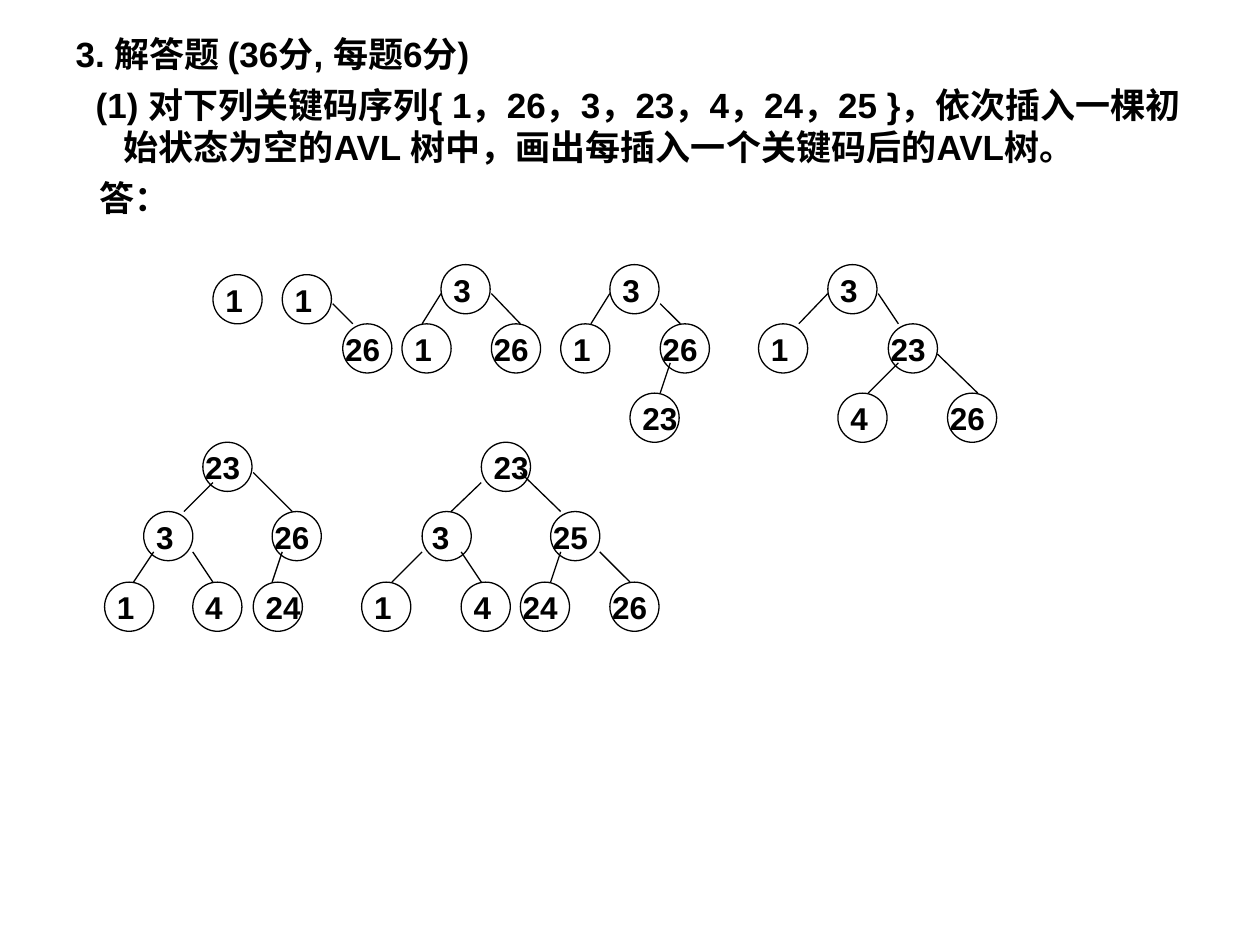
from dataclasses import dataclass, field
from typing import NamedTuple

from lxml import etree
from pptx import Presentation
from pptx import util as u
from pptx.dml.color import RGBColor
from pptx.enum import lang, shapes, text
from pptx.oxml import ns

BLACK = RGBColor(0, 0, 0)
WHITE = RGBColor(255, 255, 255)
FONT = "Arial"
SIZE = 0.39
THIN = u.Pt(0.75)
PAIR = -0.08


class Node(NamedTuple):
    key: str
    x: float
    y: float
    shift: float = 0


class Edge(NamedTuple):
    x1: float
    y1: float
    x2: float
    y2: float


class Line(NamedTuple):
    words: str
    indent: float


@dataclass
class Tree:
    nodes: list[Node]
    edges: list[Edge] = field(default_factory=list)


LINES = [
    Line("3. 解答题 (36分, 每题6分)", -0.38),
    Line("(1) 对下列关键码序列{ 1，26，3，23，4，24，25 }，依次插入一棵初始状态为空的"
         "AVL 树中，画出每插入一个关键码后的AVL树。", -0.22),
    Line("答：", -0.19),
]

TREES = [
    Tree([Node("1", 1.69, 2.18)]),
    Tree(
        [Node("1", 2.24, 2.18), Node("26", 2.72, 2.57, PAIR)],
        [Edge(2.64, 2.41, 2.8, 2.57)],
    ),
    Tree(
        [Node("3", 3.5, 2.1), Node("1", 3.19, 2.57), Node("26", 3.9, 2.57, PAIR)],
        [Edge(3.5, 2.33, 3.35, 2.57), Edge(3.9, 2.33, 4.13, 2.57)],
    ),
    Tree(
        [Node("3", 4.84, 2.1), Node("1", 4.45, 2.57),
         Node("26", 5.24, 2.57, PAIR), Node("23", 5, 3.12)],
        [Edge(4.84, 2.33, 4.69, 2.57), Edge(5.24, 2.41, 5.4, 2.57),
         Edge(5.32, 2.88, 5.24, 3.12)],
    ),
    Tree(
        [Node("3", 6.57, 2.1), Node("1", 6.02, 2.57), Node("23", 7.05, 2.57, PAIR),
         Node("4", 6.65, 3.12), Node("26", 7.52, 3.12, PAIR)],
        [Edge(6.57, 2.33, 6.34, 2.57), Edge(6.97, 2.33, 7.13, 2.57),
         Edge(7.13, 2.88, 6.89, 3.12), Edge(7.44, 2.81, 7.76, 3.12)],
    ),
    Tree(
        [Node("23", 1.61, 3.51, PAIR), Node("3", 1.14, 4.06),
         Node("26", 2.16, 4.06, PAIR), Node("1", 0.83, 4.62),
         Node("4", 1.53, 4.62), Node("24", 2.01, 4.62)],
        [Edge(1.69, 3.83, 1.46, 4.06), Edge(2.01, 3.75, 2.32, 4.06),
         Edge(1.22, 4.38, 1.06, 4.62), Edge(1.53, 4.38, 1.69, 4.62),
         Edge(2.24, 4.38, 2.16, 4.62)],
    ),
    Tree(
        [Node("23", 3.82, 3.51), Node("3", 3.35, 4.06, -0.02),
         Node("25", 4.37, 4.06, PAIR), Node("1", 2.87, 4.62),
         Node("4", 3.66, 4.62), Node("24", 4.13, 4.62, PAIR),
         Node("26", 4.84, 4.62, PAIR)],
        [Edge(3.82, 3.83, 3.58, 4.06), Edge(4.13, 3.75, 4.45, 4.06),
         Edge(3.35, 4.38, 3.11, 4.62), Edge(3.66, 4.38, 3.82, 4.62),
         Edge(4.45, 4.38, 4.37, 4.62), Edge(4.76, 4.38, 5, 4.62)],
    ),
]


def add_run(para, words: str, size: int) -> None:
    run = para.add_run()
    run.text = words
    font = run.font
    font.name, font.size, font.bold = FONT, u.Pt(size), True
    font.color.rgb = BLACK
    font.language_id = lang.MSO_LANGUAGE_ID.SIMPLIFIED_CHINESE


def fill_body(body, lines: list[Line]) -> None:
    body.left, body.top = u.Inches(0.5), u.Inches(0.21)
    body.width, body.height = u.Inches(9), u.Inches(6.49)
    frame = body.text_frame
    frame.auto_size = text.MSO_AUTO_SIZE.NONE
    for i, line in enumerate(lines):
        para = frame.add_paragraph() if i else frame.paragraphs[0]
        para.space_before = u.Pt(5)
        props = para._p.get_or_add_pPr()
        props.set("marL", str(u.Inches(0.38)))
        props.set("indent", str(u.Inches(line.indent)))
        etree.SubElement(props, ns.qn("a:buNone"))
        add_run(para, line.words, 20)


def draw_node(group, node: Node) -> None:
    ring = group.shapes.add_shape(
        shapes.MSO_SHAPE.OVAL, u.Inches(node.x), u.Inches(node.y),
        u.Inches(SIZE), u.Inches(SIZE))
    ring.shadow.inherit = False
    ring.fill.solid()
    ring.fill.fore_color.rgb = WHITE
    ring.line.color.rgb = BLACK
    ring.line.width = THIN
    box = group.shapes.add_textbox(
        u.Inches(node.x + node.shift), u.Inches(node.y),
        u.Inches(0.35 + 0.14 * len(node.key)), u.Inches(0.4))
    box.text_frame.word_wrap = True
    add_run(box.text_frame.paragraphs[0], node.key, 18)


def draw_edge(group, edge: Edge) -> None:
    line = group.shapes.add_connector(
        shapes.MSO_CONNECTOR.STRAIGHT, *(u.Inches(v) for v in edge))
    line.line.color.rgb = BLACK
    line.line.width = THIN
    etree.SubElement(line._element.spPr, ns.qn("a:effectLst"))


def draw_tree(slide, tree: Tree) -> None:
    group = slide.shapes.add_group_shape()
    for node in tree.nodes:
        draw_node(group, node)
    for edge in tree.edges:
        draw_edge(group, edge)


def main() -> None:
    deck = Presentation()
    deck.slide_width, deck.slide_height = u.Inches(10), u.Inches(7.5)
    slide = deck.slides.add_slide(deck.slide_layouts[1])
    title = slide.shapes.title._element
    title.getparent().remove(title)
    fill_body(slide.placeholders[1], LINES)
    for tree in TREES:
        draw_tree(slide, tree)
    deck.save("out.pptx")


if __name__ == "__main__":
    main()
